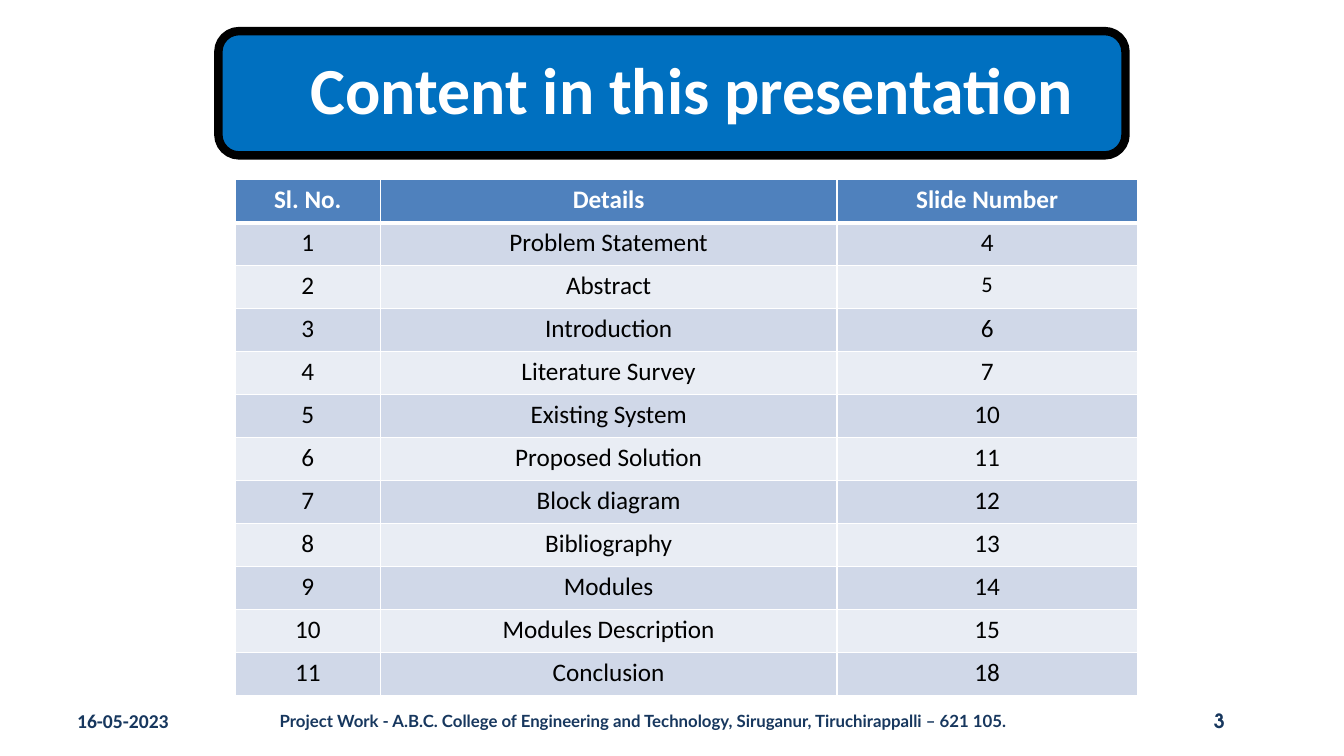
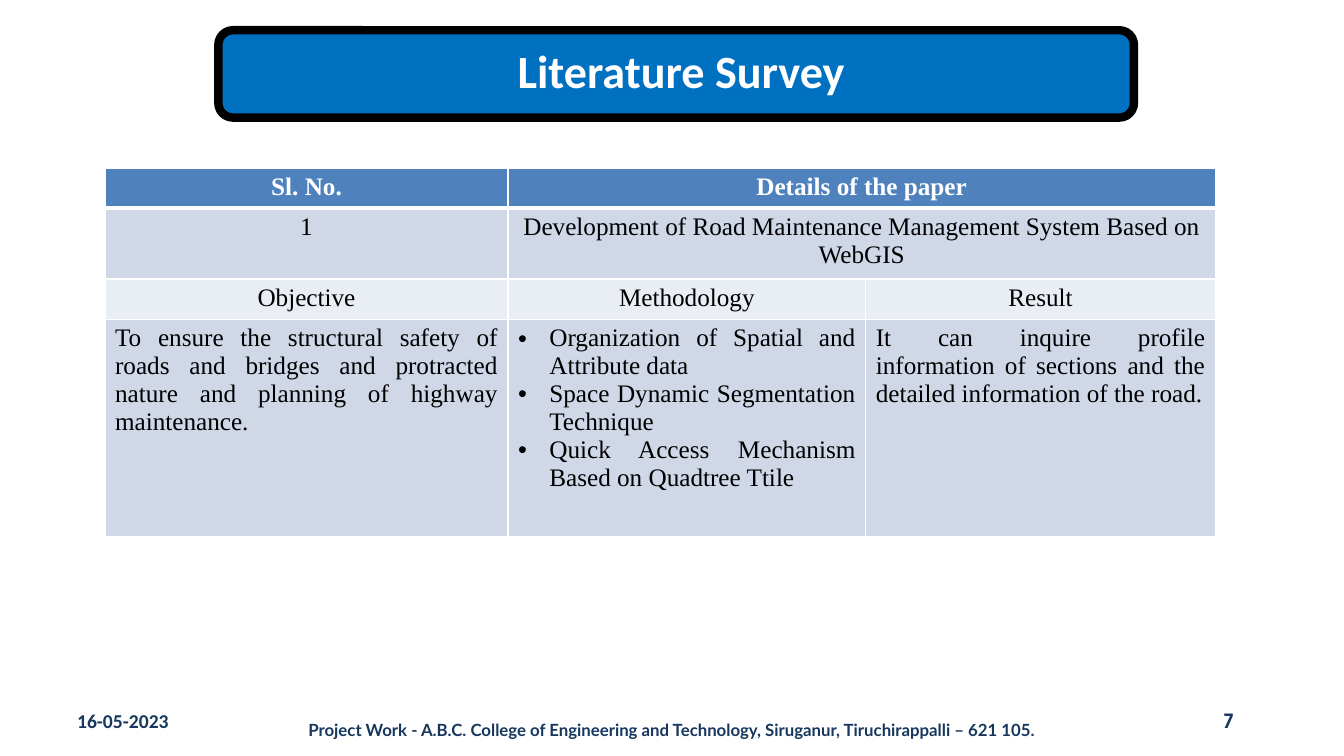
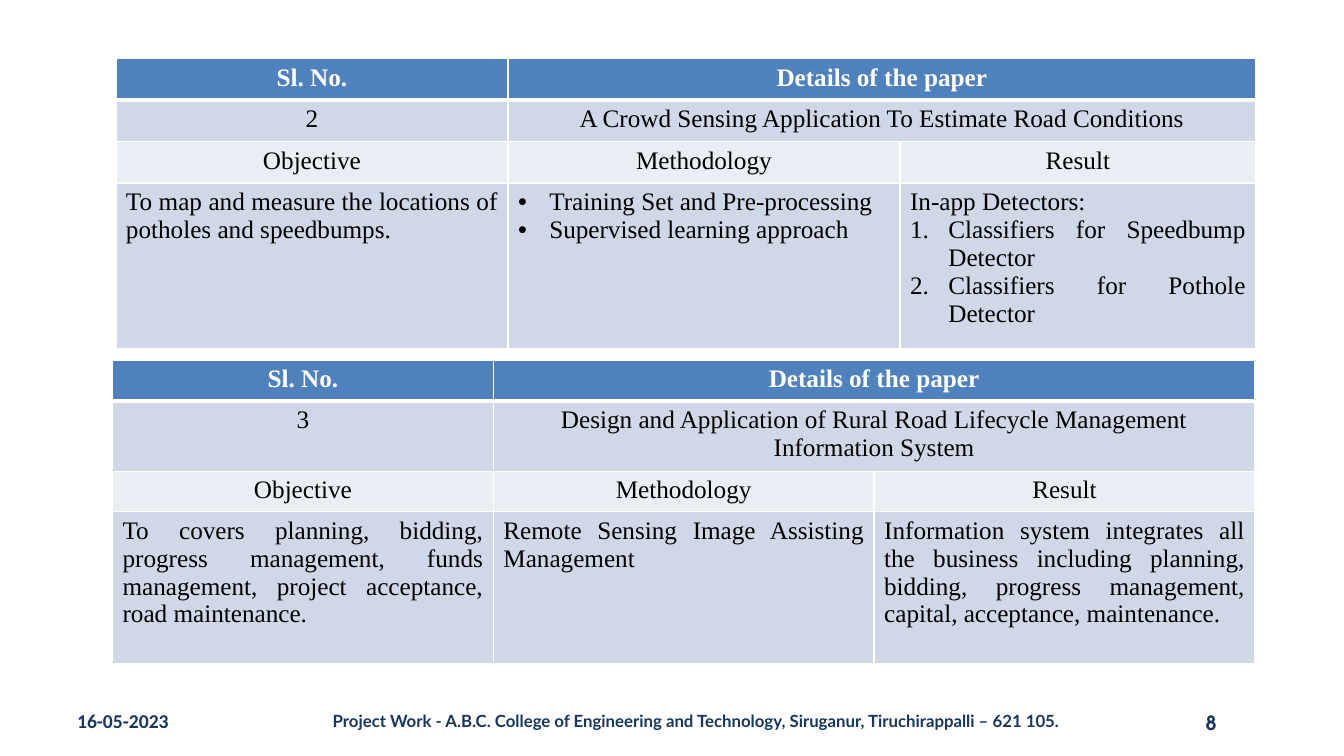
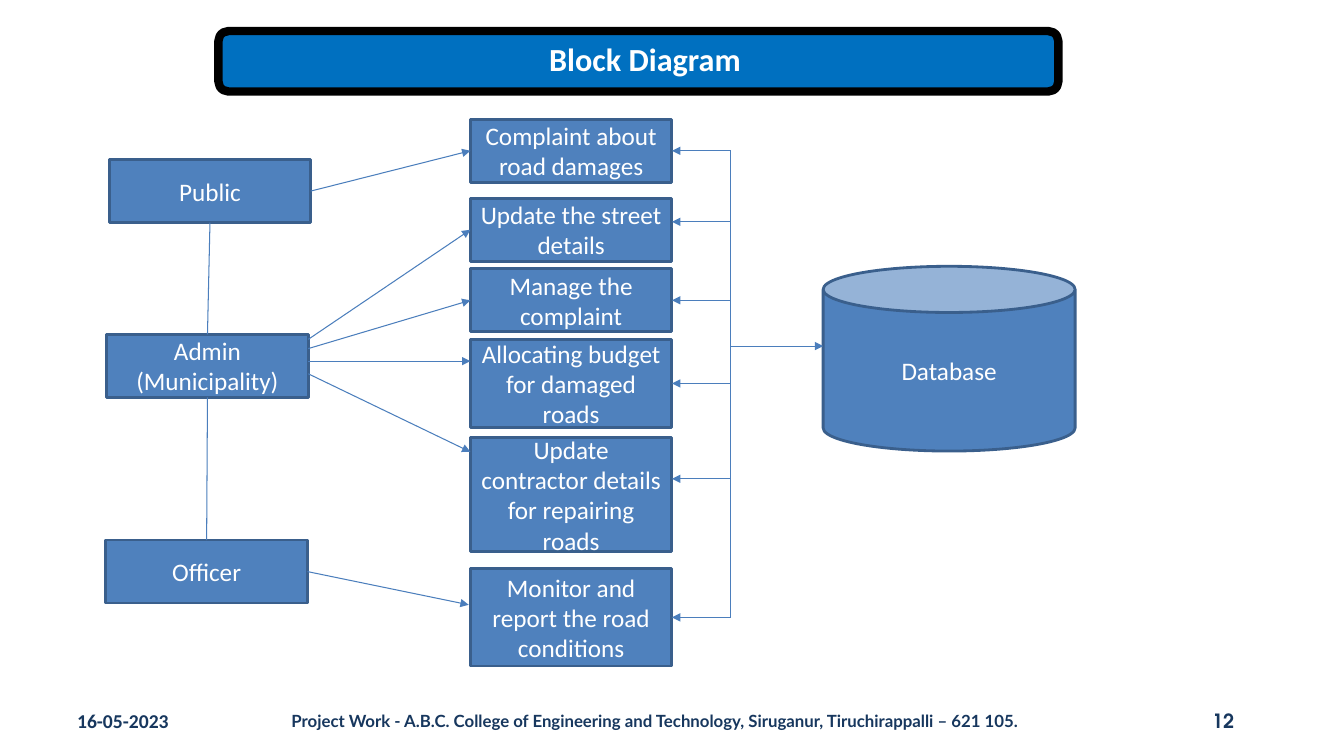
import pptx
import pptx.util
import pptx.dml.color
import pptx.enum.shapes
import pptx.enum.text
import pptx.oxml.ns
import lxml.etree

# The slide is a grid of 160 columns by 90 rows, each cell 1/12 inch square.
COLUMNS, ROWS = 160, 90
UNIT = pptx.util.Inches(1) // 12

WHITE, BLACK, NAVY = "FFFFFF", "000000", "17375E"
BANNER, BLUE, EDGE, WIRE = "0070C0", "4F81BD", "3A5F8C", "4B7EBC"
BANDS = ("D0D8E8", "E9EDF4")

SHAPES = pptx.enum.shapes.MSO_SHAPE
STRAIGHT = pptx.enum.shapes.MSO_CONNECTOR.STRAIGHT
ALIGN = pptx.enum.text.PP_ALIGN
MIDDLE = pptx.enum.text.MSO_ANCHOR.MIDDLE
TOP, LEFT, BOTTOM, RIGHT = range(4)

BULLET = ("buChar", {"char": "•"}, 0.31)
NUMBER = ("buAutoNum", {"type": "arabicPeriod"}, 0.38)

FOOTER = ("Project Work - A.B.C. College of Engineering and Technology, "
          "Siruganur, Tiruchirappalli – 621 105.")


def grid(*lengths):
    return [round(length * UNIT) for length in lengths]


def color(value):
    return pptx.dml.color.RGBColor.from_string(value)


def add_xml(parent, tag, **attributes):
    return lxml.etree.SubElement(parent, pptx.oxml.ns.qn("a:" + tag), attributes)


def write(frame, text, size=18, font="Calibri", ink=WHITE, bold=False,
          align=ALIGN.CENTER, spacing=None):
    """Write a string, or a list of strings and (string, list mark) pairs."""
    frame.word_wrap = True
    items = text if isinstance(text, list) else [text]
    for index, item in enumerate(items):
        words, mark = item if isinstance(item, tuple) else (item, None)
        para = frame.paragraphs[0] if index == 0 else frame.add_paragraph()
        para.alignment = align
        if spacing:
            para.line_spacing = spacing
        if mark:
            tag, attributes, indent = mark
            properties = para._p.get_or_add_pPr()
            properties.set("marL", str(pptx.util.Inches(indent)))
            properties.set("indent", str(-pptx.util.Inches(indent)))
            if mark is BULLET:
                add_xml(properties, "buFont", typeface="Arial")
            add_xml(properties, tag, **attributes)
        span = para.add_run()
        span.text = words
        span.font.size = pptx.util.Pt(size)
        span.font.name = font
        span.font.bold = bold
        span.font.color.rgb = color(ink)


def add_block(page, box, text, kind=SHAPES.RECTANGLE, fill=BLUE, edge=EDGE,
              edge_width=2, **style):
    block = page.shapes.add_shape(kind, *grid(*box))
    block.shadow.inherit = False
    block.fill.solid()
    block.fill.fore_color.rgb = color(fill)
    block.line.color.rgb = color(edge)
    block.line.width = pptx.util.Pt(edge_width)
    block.text_frame.vertical_anchor = MIDDLE
    write(block.text_frame, text, **style)
    return block


def add_banner(page, box, title, size, shift):
    """Draw the title banner; shift is the extra left margin in columns."""
    banner = add_block(page, box, title, kind=SHAPES.ROUNDED_RECTANGLE, fill=BANNER,
                       edge=BLACK, edge_width=6, size=size, bold=True, spacing=0.9)
    banner.text_frame.margin_left += grid(shift)[0]


def add_label(page, box, text, **style):
    label = page.shapes.add_textbox(*grid(*box))
    label.text_frame.vertical_anchor = MIDDLE
    write(label.text_frame, text, ink=NAVY, bold=True, **style)


def add_footer(page, number, center, right, text_top=83.4, number_top=83.4):
    """Place the date, the line centred on a column, and the right-aligned number."""
    height, width = 4.8, 104
    add_label(page, (8, 83.4, 14, height), "16-05-2023", size=14, align=ALIGN.LEFT)
    add_label(page, (center - width / 2, text_top, width, height), FOOTER,
              size=12, font="Lato")
    add_label(page, (right - 8, number_top, 8, height), number,
              size=14, font="TeX Gyre Adventor", align=ALIGN.RIGHT)


def add_borders(cell, top, bottom):
    properties = cell._tc.get_or_add_tcPr()
    for side, width in (("L", 1), ("R", 1), ("T", top), ("B", bottom)):
        line = add_xml(properties, "ln" + side, w=str(pptx.util.Pt(width)))
        add_xml(add_xml(line, "solidFill"), "srgbClr", val=WHITE)


def add_grid_table(page, box, widths, heights, rows, font="Calibri", sizes=None,
                   last_align=ALIGN.CENTER):
    """Share the box among columns and rows; None joins a cell to the one before."""
    frame = page.shapes.add_table(len(rows), len(widths), *grid(*box))
    table = frame.table
    for column, width in zip(table.columns, widths):
        column.width = grid(box[2] * width / sum(widths))[0]
    for row, height in zip(table.rows, heights):
        row.height = grid(box[3] * height / sum(heights))[0]
    for r, texts in enumerate(rows):
        header = r == 0
        for c, text in enumerate(texts):
            cell = table.cell(r, c)
            add_borders(cell, 3 if r == 1 else 1, 3 if header else 1)
            cell.fill.solid()
            cell.fill.fore_color.rgb = color(BLUE if header else BANDS[(r - 1) % 2])
            if text is None:
                table.cell(r, c - 1).merge(cell)
                continue
            write(cell.text_frame, text, font=font, bold=header,
                  ink=WHITE if header else BLACK, size=(sizes or {}).get((r, c), 18),
                  align=last_align if r == len(rows) - 1 else ALIGN.CENTER)


def add_survey(page, box, widths, heights, number, paper, findings):
    rows = [("Sl. No.", "Details of the paper", None),
            (number, paper, None),
            ("Objective", "Methodology", "Result"),
            findings]
    add_grid_table(page, box, widths, heights, rows, font="Times New Roman",
                   last_align=ALIGN.JUSTIFY)


def add_wire(page, start, end, arrow=True):
    """Join two ends, each a (column, row) point or a (shape, side) pair."""
    joined = [not isinstance(place[0], (int, float)) for place in (start, end)]
    begin_point = (0, 0) if joined[0] else start
    end_point = (0, 0) if joined[1] else end
    wire = page.shapes.add_connector(STRAIGHT, *grid(*begin_point, *end_point))
    if joined[0]:
        wire.begin_connect(*start)
    if joined[1]:
        wire.end_connect(*end)
    wire.line.color.rgb = color(WIRE)
    wire.line.width = pptx.util.Pt(0.75)
    if arrow:
        add_xml(wire.line._get_or_add_ln(), "tailEnd", type="triangle")
    add_xml(wire._element.spPr, "effectLst")


def add_diagram(page, left, top):
    """Draw actors, tasks and database from the given corner."""
    def at(column, row):
        return left + column, top + row

    width, height = 24, 7.5
    public, admin, officer = [
        add_block(page, (*at(column, row), width, height), text)
        for column, row, text in ((0.4, 4.8, "Public"),
                                  (0.1, 25.6, ["Admin", "(Municipality)"]),
                                  (0, 50.1, "Officer"))]
    task_rows = (
        (0, height, "Complaint about road damages"),
        (9.4, height, "Update the street details"),
        (17.8, height, "Manage the complaint"),
        (26.2, 10.5, "Allocating budget for damaged roads"),
        (37.9, 13.6, "Update contractor details for repairing roads"),
        (53.5, 11.6, "Monitor and report the road conditions"))
    tasks = [add_block(page, (*at(43.4, row), width, tall), text)
             for row, tall, text in task_rows]
    add_block(page, (*at(85.4, 17.5), 30, 22), "Database", kind=SHAPES.CAN)

    add_wire(page, (public, BOTTOM), (admin, TOP), arrow=False)
    add_wire(page, (admin, BOTTOM), (officer, TOP), arrow=False)
    add_wire(page, (public, RIGHT), (tasks[0], LEFT))
    add_wire(page, at(24.1, 26.2), (tasks[1], LEFT))
    add_wire(page, at(24.1, 27.3), (tasks[2], LEFT))
    add_wire(page, at(24.1, 28.8), at(43.4, 28.8))
    add_wire(page, at(24.1, 30.3), at(43.4, 39.6))
    add_wire(page, (officer, RIGHT), at(43.2, 57.8))

    bus = 74.4
    taps = (3.75, 12.2, 21.55, 31.45, 42.8, 59.3)
    add_wire(page, at(bus, taps[0]), at(bus, taps[-1]), arrow=False)
    for tap, task, (row, tall, _) in zip(taps, tasks, task_rows):
        is_middle = abs(row + tall / 2 - tap) < 0.01
        add_wire(page, at(bus, tap), (task, RIGHT) if is_middle else at(67.4, tap))
    add_wire(page, at(bus, 27), at(85.4, 27))


def build_contents(page):
    add_banner(page, (26, 3.7, 108, 14.8), "Content in this presentation", 47, 4.8)
    entries = (("Problem Statement", 4), ("Abstract", 5), ("Introduction", 6),
               ("Literature Survey", 7), ("Existing System", 10),
               ("Proposed Solution", 11), ("Block diagram", 12), ("Bibliography", 13),
               ("Modules", 14), ("Modules Description", 15), ("Conclusion", 18))
    rows = [("Sl. No.", "Details", "Slide Number")]
    rows += [(str(index), name, str(number))
             for index, (name, number) in enumerate(entries, 1)]
    add_grid_table(page, (28, 21.4, 107.4, 61.4), (1.44, 4.53, 2.98), [1] * len(rows),
                   rows, sizes={(2, 2): 16})
    add_footer(page, "3", center=76.6, right=147)


def build_first_survey(page):
    add_banner(page, (26, 3.6, 109, 10.4), "Literature Survey", 33, 1.2)
    add_survey(
        page, (12.5, 20, 132.2, 43.9), (4, 3.55, 3.47), (0.4, 0.7, 0.4, 2.16), "1",
        "Development of Road Maintenance Management System Based on WebGIS",
        ("To ensure the structural safety of roads and bridges and protracted nature "
         "and planning of highway maintenance.",
         [("Organization of Spatial and Attribute data", BULLET),
          ("Space Dynamic Segmentation Technique", BULLET),
          ("Quick Access Mechanism Based on Quadtree Ttile", BULLET)],
         "It can inquire profile information of sections and the detailed "
         "information of the road."))
    add_footer(page, "7", center=80, right=148.1, text_top=84.5)


def build_more_surveys(page):
    add_footer(page, "8", center=82.9, right=146, number_top=83.6)
    add_survey(
        page, (13.8, 7, 135.7, 34.5), (3.89, 3.89, 3.53), (1, 1, 1, 4), "2",
        "A Crowd Sensing Application To Estimate Road Conditions",
        ("To map and measure the locations of potholes and speedbumps.",
         [("Training Set and Pre-processing", BULLET),
          ("Supervised learning approach", BULLET)],
         ["In-app Detectors:",
          ("Classifiers for Speedbump Detector", NUMBER),
          ("Classifiers for Pothole Detector", NUMBER)]))
    add_survey(
        page, (13.4, 42.9, 136, 34.9), (1, 1, 1), (0.38, 0.64, 0.38, 1.51), "3",
        "Design and Application of Rural Road Lifecycle Management Information System",
        ("To covers planning, bidding, progress management, funds management, "
         "project acceptance, road maintenance.",
         "Remote Sensing Image Assisting Management",
         "Information system integrates all the business including planning, bidding, "
         "progress management, capital, acceptance, maintenance."))


def build_block_diagram(page):
    add_banner(page, (26, 3.7, 100, 7.2), "Block Diagram", 23, 1.6)
    add_footer(page, "12", center=78, right=148.1)
    add_diagram(page, 12.6, 14.2)


def main():
    deck = pptx.Presentation()
    deck.slide_width, deck.slide_height = grid(COLUMNS, ROWS)
    blank = deck.slide_layouts[6]
    for build in (build_contents, build_first_survey, build_more_surveys,
                  build_block_diagram):
        build(deck.slides.add_slide(blank))
    deck.save("out.pptx")


if __name__ == "__main__":
    main()
